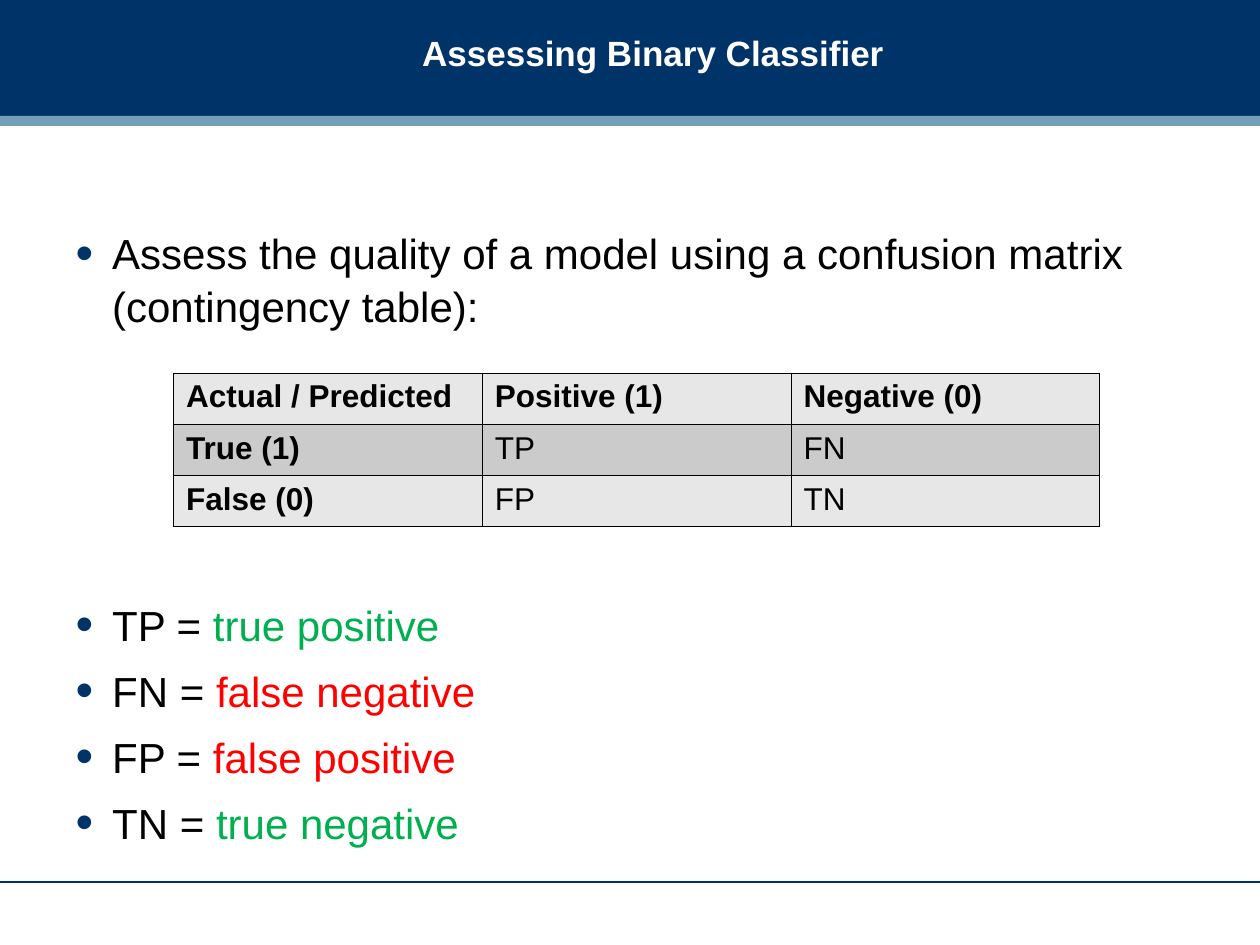
from pptx import Presentation
from pptx.dml.color import RGBColor
from pptx.enum.shapes import MSO_CONNECTOR, MSO_SHAPE
from pptx.enum.text import MSO_ANCHOR, MSO_AUTO_SIZE, PP_ALIGN
from pptx.oxml import parse_xml
from pptx.oxml.ns import nsdecls
from pptx.util import Pt

RECTANGLE = MSO_SHAPE.RECTANGLE
STRAIGHT = MSO_CONNECTOR.STRAIGHT
LEFT = PP_ALIGN.LEFT
MIDDLE = MSO_ANCHOR.MIDDLE
TOP = MSO_ANCHOR.TOP
NO_AUTOFIT = MSO_AUTO_SIZE.NONE

COLORS = {
    "navy": "003368",
    "steel": "759FB8",
    "white": "FFFFFF",
    "black": "000000",
    "green": "00B050",
    "red": "FF0000",
    "light": "E7E7E7",
    "dark": "CBCBCB",
}


def add_text(paragraph, text, size=24, color="black", bold=False):
    run = paragraph.add_run()
    run.text = text
    run.font.name = "Arial"
    run.font.size = Pt(size)
    run.font.bold = bold
    run.font.color.rgb = RGBColor.from_string(COLORS[color])


def place(shape, left, top, width, height):
    shape.left, shape.top = Pt(left), Pt(top)
    shape.width, shape.height = Pt(width), Pt(height)


presentation = Presentation()
presentation.slide_width = Pt(720)
presentation.slide_height = Pt(540)
slide = presentation.slides.add_slide(presentation.slide_layouts[1])
title, body = slide.placeholders

for top, height, color in [(0, 66.24, "navy"), (66.24, 5.76, "steel")]:
    band = slide.shapes.add_shape(RECTANGLE, Pt(0), Pt(top), Pt(720), Pt(height))
    band.shadow.inherit = False
    band.fill.solid()
    band.fill.fore_color.rgb = RGBColor.from_string(COLORS[color])
    band.line.fill.background()
    title.element.addprevious(band.element)

footer_line = slide.shapes.add_connector(STRAIGHT, Pt(0), Pt(504), Pt(720), Pt(504))
footer_line.line.color.rgb = RGBColor.from_string(COLORS["navy"])
footer_line.line.width = Pt(0.75)
footer_line.element.spPr.append(parse_xml(f"<a:effectLst {nsdecls('a')}/>"))
title.element.addprevious(footer_line.element)

place(title, 234, 0, 473.76, 59.76)
title.text_frame.auto_size = NO_AUTOFIT
title.text_frame.vertical_anchor = MIDDLE
title.text_frame.paragraphs[0].alignment = LEFT
add_text(title.text_frame.paragraphs[0], "Assessing Binary Classifier",
         size=20, color="white", bold=True)

place(body, 36, 88.56, 648, 419.76)
body.text_frame.auto_size = NO_AUTOFIT
body.text_frame.vertical_anchor = TOP
body.text_frame.margin_top = Pt(40)

bullets = [
    (0, "Assess the quality of a model using a confusion matrix (contingency table):", "", "black"),
    (152, "TP = ", "true positive", "green"),
    (7.5, "FN = ", "false negative", "red"),
    (7.5, "FP = ", "false positive", "red"),
    (7.5, "TN = ", "true negative", "green"),
]
bullet_format = [
    f'<a:buClr {nsdecls("a")}><a:srgbClr val="{COLORS["navy"]}"/></a:buClr>',
    f'<a:buSzPct {nsdecls("a")} val="120000"/>',
    f'<a:buFont {nsdecls("a")} typeface="Arial"/>',
    f'<a:buChar {nsdecls("a")} char="•"/>',
]
for index, (space_before, term, meaning, color) in enumerate(bullets):
    frame = body.text_frame
    paragraph = frame.add_paragraph() if index else frame.paragraphs[0]
    properties = paragraph._p.get_or_add_pPr()
    properties.set("marL", str(Pt(20.88)))
    properties.set("indent", str(Pt(-20.88)))
    for element in bullet_format:
        properties.append(parse_xml(element))
    paragraph.alignment = LEFT
    paragraph.line_spacing = 1.05
    paragraph.space_before = Pt(space_before)
    add_text(paragraph, term)
    if meaning:
        add_text(paragraph, meaning, color=color)

matrix = [
    ["Actual / Predicted", "Positive (1)", "Negative (0)"],
    ["True (1)", "TP", "FN"],
    ["False (0)", "FP", "TN"],
]
table = slide.shapes.add_table(3, 3, Pt(99.2), Pt(213.2), Pt(529.2), Pt(87.6)).table
table.first_row = False
table.horz_banding = False
for row_index, row in enumerate(matrix):
    for column_index, text in enumerate(row):
        cell = table.cell(row_index, column_index)
        for side in ("lnL", "lnR", "lnT", "lnB"):
            cell._tc.get_or_add_tcPr().append(parse_xml(
                f'<a:{side} {nsdecls("a")} w="{Pt(0.45)}"><a:solidFill>'
                f'<a:srgbClr val="{COLORS["black"]}"/></a:solidFill></a:{side}>'))
        cell.fill.solid()
        shade = "dark" if row_index == 1 else "light"
        cell.fill.fore_color.rgb = RGBColor.from_string(COLORS[shade])
        add_text(cell.text_frame.paragraphs[0], text, size=18,
                 bold=row_index == 0 or column_index == 0)

presentation.save("out.pptx")
